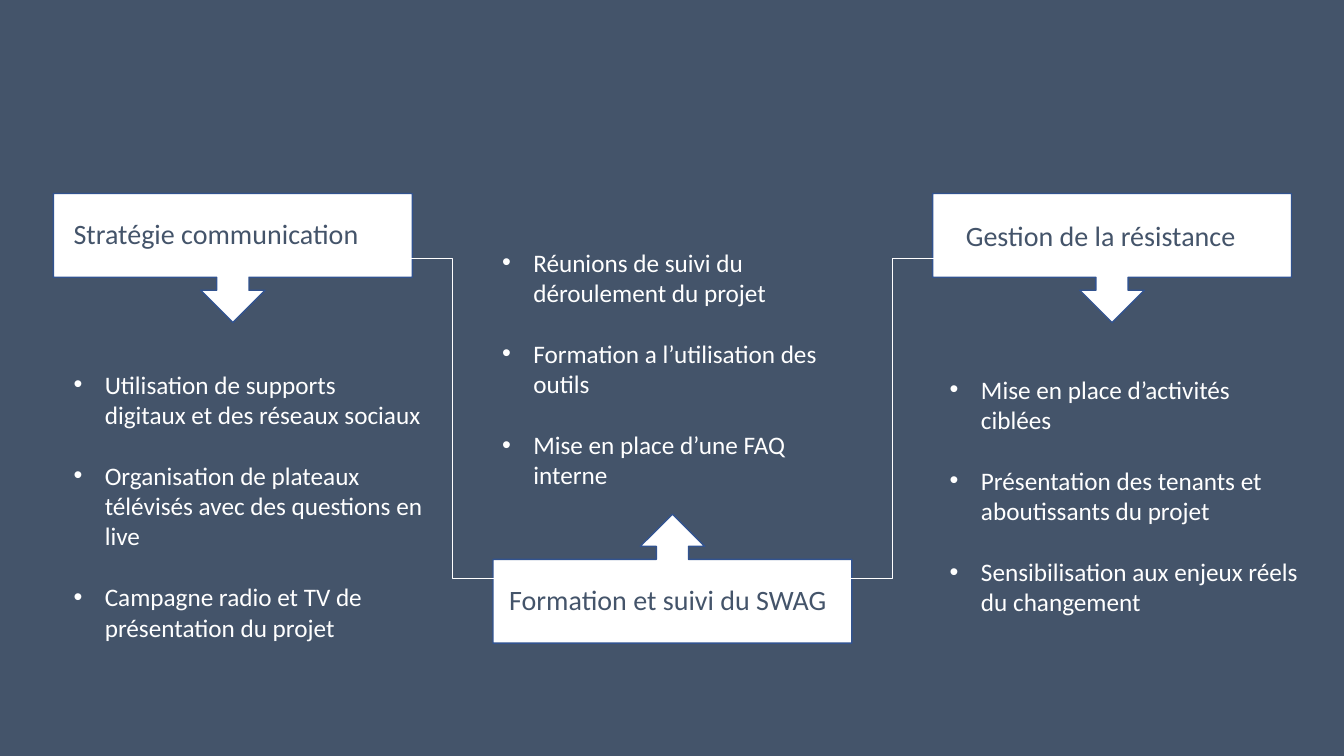
import pptx
import pptx.dml.color
import pptx.enum.shapes
import pptx.enum.text
import pptx.oxml
import pptx.oxml.ns
import pptx.util

WIDTH, HEIGHT = 13.33, 7.5
MARGIN, PITCH = 0.53, 4.36
BANNER_WIDTH, BANNER_HEIGHT, CALLOUT_HEIGHT = 3.56, 0.83, 1.28
UPPER_TOP, LOWER_TIP = 1.92, 5.1
UPPER_JOINT, LOWER_JOINT = 2.56, 5.74
SLATE, WHITE, BLUE = "44546A", "FFFFFF", "32538F"

TOPICS = [
    ("Stratégie communication", (0.68, 2.1), (0.68, 3.61), False, [
        "Utilisation de supports digitaux et des réseaux sociaux",
        "Organisation de plateaux télévisés avec des questions en live",
        "Campagne radio et TV de présentation du projet"]),
    ("Formation et suivi du SWAG", (5, 5.73), (4.93, 2.4), True, [
        "Réunions de suivi du déroulement du projet",
        "Formation a l’utilisation des outils",
        "Mise en place d’une FAQ interne"]),
    ("Gestion de la résistance", (9.53, 2.12), (9.37, 3.66), False, [
        "Mise en place d’activités ciblées",
        "Présentation des tenants et aboutissants du projet",
        "Sensibilisation aux enjeux réels du changement"]),
]


def color(hex_code):
    """Return the colour for a hex string."""
    return pptx.dml.color.RGBColor.from_string(hex_code)


def inches(*lengths):
    """Convert several lengths in inches."""
    return [pptx.util.Inches(length) for length in lengths]


def column_center(column):
    """Return the middle of a column."""
    return MARGIN + column * PITCH + BANNER_WIDTH / 2


def add_callout(slide, column, points_up):
    """Draw a banner whose arrow points down, or up when asked."""
    half = BANNER_WIDTH / 2
    right_side = [(half, 0), (half, BANNER_HEIGHT), (0.16, BANNER_HEIGHT),
                  (0.16, 0.96), (0.32, 0.96), (0, CALLOUT_HEIGHT)]
    left_side = [(-x, y) for x, y in reversed(right_side[:-1])]
    center = column_center(column)
    start, direction = (LOWER_TIP + CALLOUT_HEIGHT, -1) if points_up else (UPPER_TOP, 1)
    outline = [inches(center + x, start + direction * y) for x, y in right_side + left_side]
    builder = slide.shapes.build_freeform(*outline[0])
    builder.add_line_segments(outline[1:], close=True)
    callout = builder.convert_to_shape()
    callout.shadow.inherit = False
    callout.fill.solid()
    callout.fill.fore_color.rgb = color(WHITE)
    callout.line.color.rgb = color(BLUE)
    callout.line.width = pptx.util.Pt(1)


def add_link(slide, column):
    """Join an outer banner to the middle one with an elbow line."""
    link = slide.shapes.add_connector(
        pptx.enum.shapes.MSO_CONNECTOR.ELBOW,
        *inches(column_center(column), UPPER_JOINT, column_center(1), LOWER_JOINT))
    link.line.color.rgb = color(WHITE)
    link.line.width = pptx.util.Pt(0.5)
    pptx.oxml.ns.qn("a:effectLst")
    properties = link._element.spPr
    properties.append(properties.makeelement(pptx.oxml.ns.qn("a:effectLst"), {}))


def add_text(slide, position, size, lines, points, hex_code, bulleted=False):
    """Write lines in a text box, as a spaced bullet list when asked."""
    frame = slide.shapes.add_textbox(*inches(*position, *size)).text_frame
    frame.word_wrap = True
    frame.vertical_anchor = pptx.enum.text.MSO_ANCHOR.TOP
    frame.margin_left = frame.margin_right = pptx.util.Inches(0.05)
    frame.margin_top = frame.margin_bottom = pptx.util.Inches(0.05)
    for index, line in enumerate(lines):
        paragraph = frame.add_paragraph() if index else frame.paragraphs[0]
        if index:
            paragraph.space_before = pptx.util.Pt(22)
        run = paragraph.add_run()
        run.text = line
        run.font.name = "Calibri"
        run.font.size = pptx.util.Pt(points)
        run.font.color.rgb = color(hex_code)
        if bulleted:
            add_bullet(paragraph)


def add_bullet(paragraph):
    """Give a paragraph a round bullet and a hanging indent."""
    indent = pptx.util.Inches(0.31)
    properties = paragraph._p.get_or_add_pPr()
    properties.set("marL", str(indent))
    properties.set("indent", str(-indent))
    for tag, attributes in (("a:buFont", {"typeface": "Arial"}), ("a:buChar", {"char": "•"})):
        properties.append(properties.makeelement(pptx.oxml.ns.qn(tag), attributes))


def main():
    """Build the slide and save it."""
    deck = pptx.Presentation()
    deck.slide_width, deck.slide_height = inches(WIDTH, HEIGHT)
    slide = deck.slides.add_slide(deck.slide_layouts[6])
    slide.background.fill.solid()
    slide.background.fill.fore_color.rgb = color(SLATE)
    for column, topic in enumerate(TOPICS):
        add_callout(slide, column, topic[3])
    for column in (0, 2):
        add_link(slide, column)
    for heading, heading_position, list_position, points_up, actions in TOPICS:
        add_text(slide, heading_position, (3.42 if points_up else 3.27, 0.42), [heading], 20, SLATE)
        list_height = 3.02 if len(actions[1]) > 55 else 2.43
        add_text(slide, list_position, (BANNER_WIDTH, list_height), actions, 18, WHITE, True)
    deck.save("out.pptx")


main()
